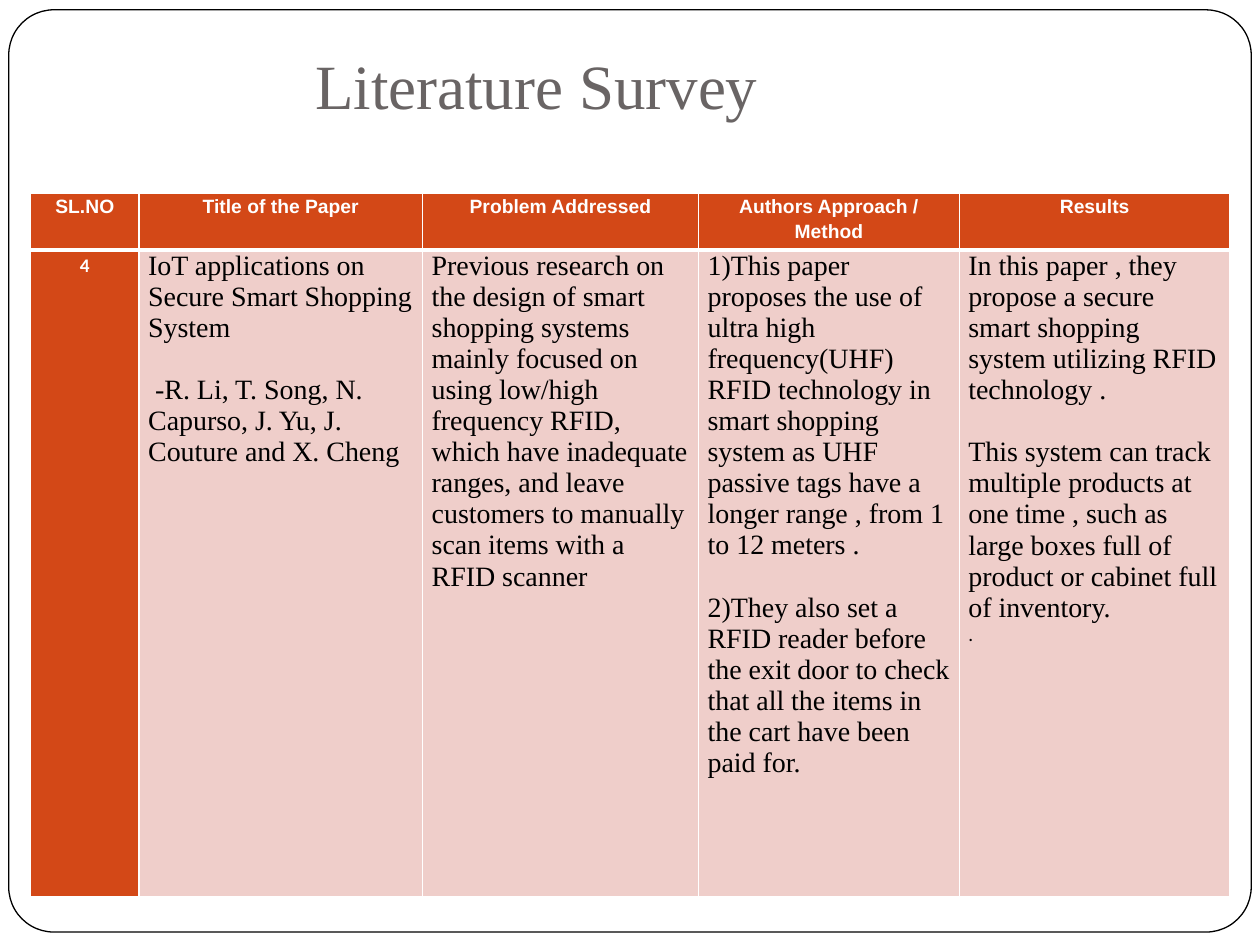
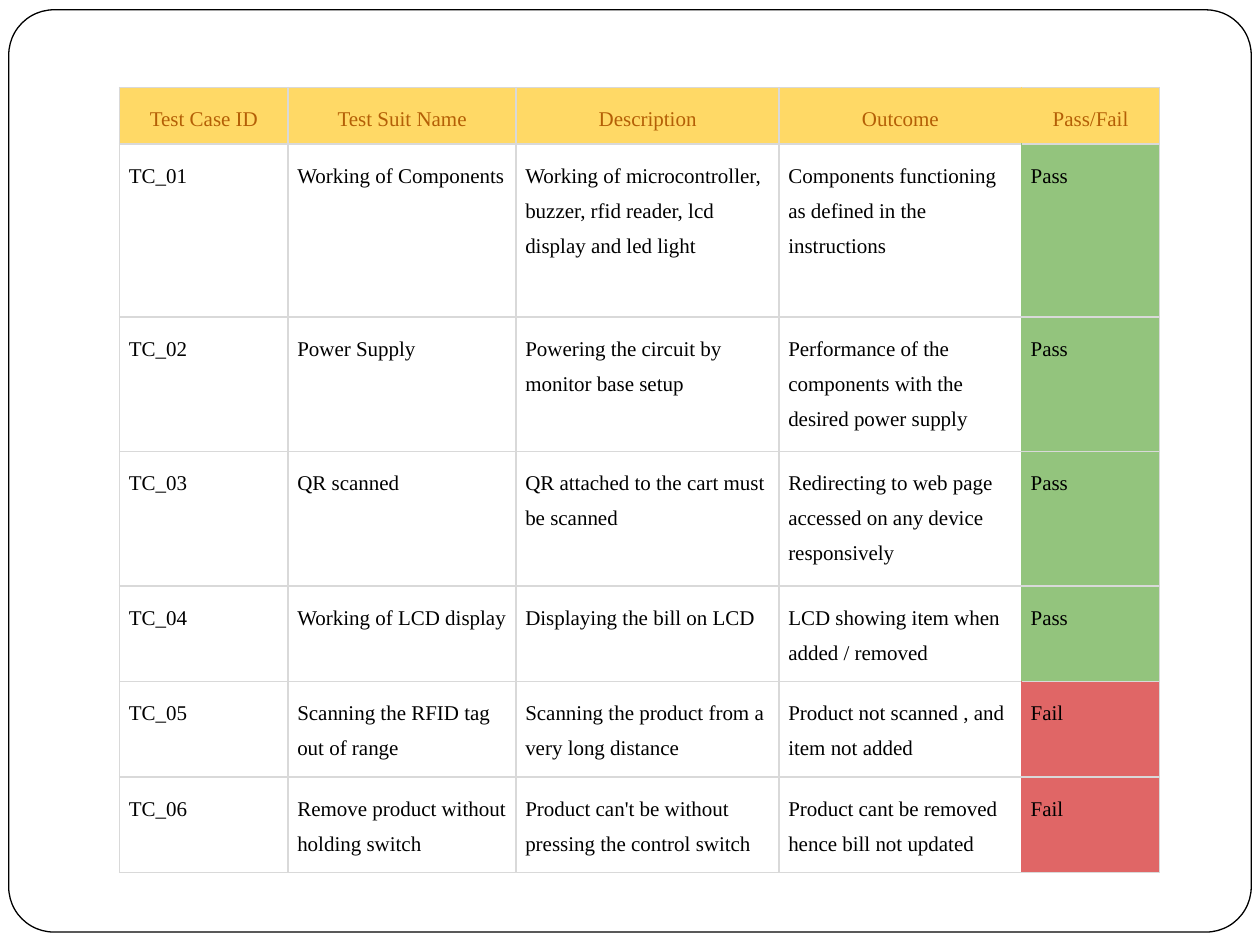
from lxml import etree
from pptx import Presentation
from pptx.dml.color import RGBColor
from pptx.enum import shapes, text
from pptx.oxml.ns import qn
from pptx.util import Pt

SERIF, SANS, NUMBER = "Times New Roman", "Arial", "Calibri"
BLACK, WHITE, GREY = "000000", "FFFFFF", "696464"
ORANGE, PINK = "D34817", "EFCECA"
YELLOW, BROWN, GRID = "FFD966", "B45F06", "D9D9D9"
STATUS_FILLS = {"Pass": "93C47D", "Fail": "E06666"}

SURVEY_TITLE = "Literature Survey"
SURVEY_HEADERS = ["SL.NO", "Title of the Paper", "Problem Addressed",
                  "Authors Approach / Method", "Results"]
SURVEY_ENTRY = [
    ["4"],
    ["IoT applications on Secure Smart Shopping System",
     " -R. Li, T. Song, N. Capurso, J. Yu, J. Couture and X. Cheng"],
    ["Previous research on the design of smart shopping systems mainly focused on "
     "using low/high frequency RFID, which have inadequate ranges, and leave "
     "customers to manually scan items with a RFID scanner"],
    ["1)This paper proposes the use of",
     "ultra high frequency(UHF) RFID technology in smart shopping system as UHF "
     "passive tags have a longer range , from 1 to 12 meters .",
     "2)They also set a RFID reader before the exit door to check that all the "
     "items in the cart have been paid for."],
    ["In this paper , they propose a secure smart shopping system utilizing RFID "
     "technology .",
     "This system can track multiple products at one time , such as large boxes "
     "full of product or cabinet full of inventory.",
     "."],
]
SECTION_STARTS = (" -R.", "2)", "This system")
SURVEY_WIDTHS = [62, 162, 157.7, 149, 154.8]
SURVEY_HEIGHTS = [32.4, 369.4]

TEST_HEADERS = ["Test Case ID", "Test Suit Name", "Description", "Outcome", "Pass/Fail"]
TEST_CASES = [
    ("Working of Components",
     "Working of microcontroller, buzzer, rfid reader, lcd display and led light",
     "Components functioning as defined in the instructions", "Pass"),
    ("Power Supply", "Powering the circuit by monitor base setup",
     "Performance of the components with the desired power supply", "Pass"),
    ("QR scanned", "QR attached to the cart must be scanned",
     "Redirecting to web page accessed on any device responsively", "Pass"),
    ("Working of LCD display", "Displaying the bill on LCD",
     "LCD showing item when added / removed", "Pass"),
    ("Scanning the RFID tag out of range",
     "Scanning the product from a very long distance",
     "Product not scanned , and item not added", "Fail"),
    ("Remove product without holding switch",
     "Product can't be without pressing the control switch",
     "Product cant be removed hence bill not updated", "Fail"),
]
TEST_WIDTHS = [96.3, 130.3, 150.3, 138.5, 79]
TEST_HEIGHTS = [32.4, 98.8, 76.8, 76.8, 54.6, 54.6, 54.6]


def rgb(value):
    return RGBColor.from_string(value)


def add_page(deck, layout_index):
    """Add a slide with the rounded frame behind everything else."""
    page = deck.slides.add_slide(deck.slide_layouts[layout_index])
    frame = page.shapes.add_shape(shapes.MSO_SHAPE.ROUNDED_RECTANGLE,
                                  Pt(5), Pt(5.6), Pt(710), Pt(527))
    frame.adjustments[0] = 0.049
    frame.shadow.inherit = False
    frame.fill.solid()
    frame.fill.fore_color.rgb = rgb(WHITE)
    frame.line.color.rgb = rgb(BLACK)
    frame.line.width = Pt(0.75)
    page.shapes._spTree.insert(2, frame._element)
    return page


def add_grid(page, left, top, widths, heights):
    table = page.shapes.add_table(len(heights), len(widths), Pt(left), Pt(top),
                                  Pt(sum(widths)), Pt(sum(heights))).table
    table.first_row = table.horz_banding = False
    for column, width in zip(table.columns, widths):
        column.width = Pt(width)
    for row, height in zip(table.rows, heights):
        row.height = Pt(height)
    return table


def format_para(para, font, size, color, bold=False, centred=False, spacing=1.0):
    para.alignment = text.PP_ALIGN.CENTER if centred else text.PP_ALIGN.LEFT
    para.line_spacing = spacing
    for span in para.runs:
        span.font.name, span.font.size, span.font.bold = font, Pt(size), bold
        span.font.color.rgb = rgb(color)


def fill_cell(cell, paragraphs, fill, side_inset, end_inset, **style):
    cell.margin_left = cell.margin_right = Pt(side_inset)
    cell.margin_top = cell.margin_bottom = Pt(end_inset)
    cell.fill.solid()
    cell.fill.fore_color.rgb = rgb(fill)
    cell.text_frame.text = "\n".join(paragraphs)
    for para in cell.text_frame.paragraphs:
        format_para(para, **style)


def set_borders(cell, color, **special):
    """Line all four sides; special maps a side (L, R, T, B) to (colour, width)."""
    properties = cell._tc.get_or_add_tcPr()
    for index, side in enumerate("LRTB"):
        side_color, width = special.get(side, (color, 1))
        line = etree.Element(qn(f"a:ln{side}"), w=str(Pt(width)))
        solid = etree.SubElement(line, qn("a:solidFill"))
        etree.SubElement(solid, qn("a:srgbClr"), val=side_color)
        properties.insert(index, line)


def build_survey(deck):
    page = add_page(deck, 5)
    title = page.shapes.title
    title.left, title.top, title.width, title.height = Pt(173), Pt(23), Pt(466), Pt(58)
    title.text_frame.text = SURVEY_TITLE
    title.text_frame.auto_size = text.MSO_AUTO_SIZE.NONE
    title.text_frame.vertical_anchor = text.MSO_ANCHOR.TOP
    format_para(title.text_frame.paragraphs[0], SERIF, 36, GREY)

    table = add_grid(page, 17.5, 110.5, SURVEY_WIDTHS, SURVEY_HEIGHTS)
    label = dict(size=11, color=WHITE, bold=True, centred=True, spacing=1.15)
    for column, (header, entry) in enumerate(zip(SURVEY_HEADERS, SURVEY_ENTRY)):
        head, body = table.cell(0, column), table.cell(1, column)
        fill_cell(head, [header], ORANGE, 5.2, 0, font=SANS, **label)
        if column == 0:
            fill_cell(body, entry, ORANGE, 5.2, 0, font=NUMBER, **label)
        else:
            fill_cell(body, entry, PINK, 5.2, 0, font=SERIF, size=16, color=BLACK)
        for para in body.text_frame.paragraphs:
            if para.text.startswith(SECTION_STARTS):
                para.space_before = Pt(17.8)
            elif para.text == ".":
                format_para(para, NUMBER, 11, BLACK)
        set_borders(head, WHITE, B=(WHITE, 3))
        set_borders(body, WHITE, T=(WHITE, 3))


def build_tests(deck):
    page = add_page(deck, 6)
    table = add_grid(page, 68.4, 50, TEST_WIDTHS, TEST_HEIGHTS)
    cases = [(f"TC_{number:02}", *case) for number, case in enumerate(TEST_CASES, 1)]
    for row, values in enumerate([TEST_HEADERS, *cases]):
        is_header = row == 0
        status_fill = YELLOW if is_header else STATUS_FILLS[values[-1]]
        for column, value in enumerate(values):
            cell = table.cell(row, column)
            is_status = column == len(values) - 1
            fill = status_fill if is_header or is_status else WHITE
            fill_cell(cell, [value], fill, 5.2, 5.2, font=SERIF, size=12,
                      color=BROWN if is_header else BLACK,
                      centred=is_header, spacing=1.5)
            seam = {3: "R", 4: "L"}.get(column)
            set_borders(cell, GRID, **({seam: (status_fill, 1)} if seam else {}))


def main():
    deck = Presentation()
    deck.slide_width, deck.slide_height = Pt(720), Pt(540)
    build_survey(deck)
    build_tests(deck)
    deck.save("out.pptx")


if __name__ == "__main__":
    main()
